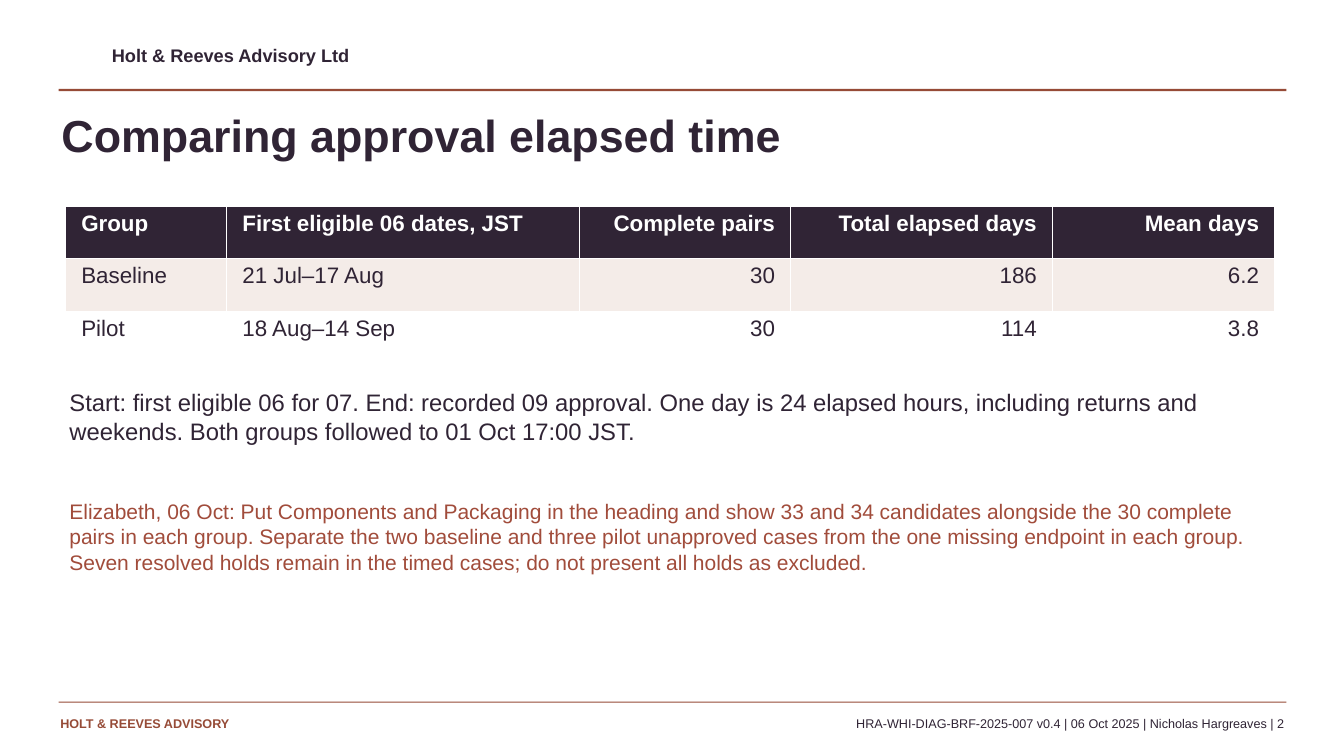
"""Build the slide comparing approval elapsed time for the baseline and pilot groups."""
from dataclasses import dataclass

from pptx import Presentation
from pptx.dml.color import RGBColor
from pptx.enum import shapes, text
from pptx.slide import Slide
from pptx.text.text import TextFrame
from pptx.util import Cm

from pptx import util as u


@dataclass(frozen=True)
class Theme:
    """Colours, font and type sizes of the deck."""

    font: str = "Arial"
    ink: str = "302435"
    rust: str = "964B37"
    comment: str = "A14C3B"
    band: str = "F4ECE8"
    white: str = "FFFFFF"
    title: int = 32
    definition: int = 17
    table: int = 16
    remark: int = 15
    company: int = 13
    footer: int = 9


@dataclass(frozen=True)
class Box:
    """Position and size in centimetres."""

    left: float
    top: float
    width: float
    height: float

    def lengths(self) -> tuple[Cm, Cm, Cm, Cm]:
        """Return the four values as lengths."""
        return Cm(self.left), Cm(self.top), Cm(self.width), Cm(self.height)


@dataclass(frozen=True)
class Label:
    """A text box with its format."""

    words: str
    box: Box
    size: int
    color: str
    bold: bool = False
    right: bool = False
    inset: float = 0


@dataclass(frozen=True)
class Column:
    """A table column: width in centimetres, alignment, heading and values."""

    width: float
    right: bool
    heading: str
    values: tuple[str, ...]


THEME = Theme()

RULES = (Box(1.48, 2.24, 30.94, 0.06), Box(1.48, 17.68, 30.94, 0.03))

LABELS = (
    Label("Holt & Reeves Advisory Ltd", Box(2.82, 1.12, 15.24, 0.69),
          THEME.company, THEME.ink, bold=True),
    Label("Comparing approval elapsed time", Box(1.55, 2.72, 30.48, 1.98),
          THEME.title, THEME.ink, bold=True),
    Label("Start: first eligible 06 for 07. End: recorded 09 approval. One day is 24 elapsed "
          "hours, including returns and weekends. Both groups followed to 01 Oct 17:00 JST.",
          Box(1.7, 9.73, 29.97, 2.18), THEME.definition, THEME.ink, inset=0.05),
    Label("Elizabeth, 06 Oct: Put Components and Packaging in the heading and show 33 and 34 "
          "candidates alongside the 30 complete pairs in each group. Separate the two baseline "
          "and three pilot unapproved cases from the one missing endpoint in each group. Seven "
          "resolved holds remain in the timed cases; do not present all holds as excluded.",
          Box(1.7, 12.52, 29.97, 4.19), THEME.remark, THEME.comment, inset=0.05),
    Label("HOLT & REEVES ADVISORY", Box(1.52, 18.03, 8.64, 0.64),
          THEME.footer, THEME.rust, bold=True),
    Label("HRA-WHI-DIAG-BRF-2025-007 v0.4 | 06 Oct 2025 | Nicholas Hargreaves | 2",
          Box(10.46, 18.03, 21.9, 0.56), THEME.footer, THEME.ink, right=True),
)

COLUMNS = (
    Column(4.06, False, "Group", ("Baseline", "Pilot")),
    Column(8.89, False, "First eligible 06 dates, JST", ("21 Jul–17 Aug", "18 Aug–14 Sep")),
    Column(5.33, True, "Complete pairs", ("30", "30")),
    Column(6.6, True, "Total elapsed days", ("186", "114")),
    Column(5.6, True, "Mean days", ("6.2", "3.8")),
)
ROW_FILLS = (THEME.ink, THEME.band, THEME.white)
ROW_HEIGHT = 1.32


def write_text(frame: TextFrame, words: str, *, size: int, color: str, bold: bool = False,
               right: bool = False) -> None:
    """Write one formatted paragraph into a text frame."""
    paragraph = frame.paragraphs[0]
    paragraph.alignment = text.PP_ALIGN.RIGHT if right else text.PP_ALIGN.LEFT
    run = paragraph.add_run()
    run.text = words
    run.font.name = THEME.font
    run.font.size = u.Pt(size)
    run.font.bold = bold
    run.font.color.rgb = RGBColor.from_string(color)


def add_rule(slide: Slide, box: Box) -> None:
    """Draw a thin horizontal bar."""
    shape = slide.shapes.add_shape(shapes.MSO_SHAPE.RECTANGLE, *box.lengths())
    shape.shadow.inherit = False
    shape.fill.solid()
    shape.fill.fore_color.rgb = RGBColor.from_string(THEME.rust)
    shape.line.fill.background()


def add_label(slide: Slide, label: Label) -> None:
    """Draw a wrapped text box."""
    frame = slide.shapes.add_textbox(*label.box.lengths()).text_frame
    frame.word_wrap = True
    frame.margin_left = frame.margin_right = Cm(label.inset)
    frame.margin_top = frame.margin_bottom = Cm(label.inset)
    write_text(frame, label.words, size=label.size, color=label.color, bold=label.bold,
               right=label.right)


def add_comparison(slide: Slide, left: float, top: float) -> None:
    """Draw the table of elapsed days by group."""
    box = Box(left, top, sum(column.width for column in COLUMNS), ROW_HEIGHT * len(ROW_FILLS))
    table = slide.shapes.add_table(len(ROW_FILLS), len(COLUMNS), *box.lengths()).table
    for row in table.rows:
        row.height = Cm(ROW_HEIGHT)
    for column_index, column in enumerate(COLUMNS):
        table.columns[column_index].width = Cm(column.width)
        for row_index, words in enumerate((column.heading, *column.values)):
            heading = row_index == 0
            cell = table.cell(row_index, column_index)
            cell.fill.solid()
            cell.fill.fore_color.rgb = RGBColor.from_string(ROW_FILLS[row_index])
            cell.margin_left = cell.margin_right = Cm(0.4)
            cell.margin_top = cell.margin_bottom = Cm(0.12)
            write_text(cell.text_frame, words, size=THEME.table, bold=heading,
                       color=THEME.white if heading else THEME.ink, right=column.right)


def main() -> None:
    """Build and save the presentation."""
    presentation = Presentation()
    presentation.slide_width = Cm(33.87)
    presentation.slide_height = Cm(19.05)
    slide = presentation.slides.add_slide(presentation.slide_layouts[6])
    for rule in RULES:
        add_rule(slide, rule)
    for label in LABELS:
        add_label(slide, label)
    add_comparison(slide, left=1.65, top=5.2)
    presentation.save("out.pptx")


if __name__ == "__main__":
    main()
